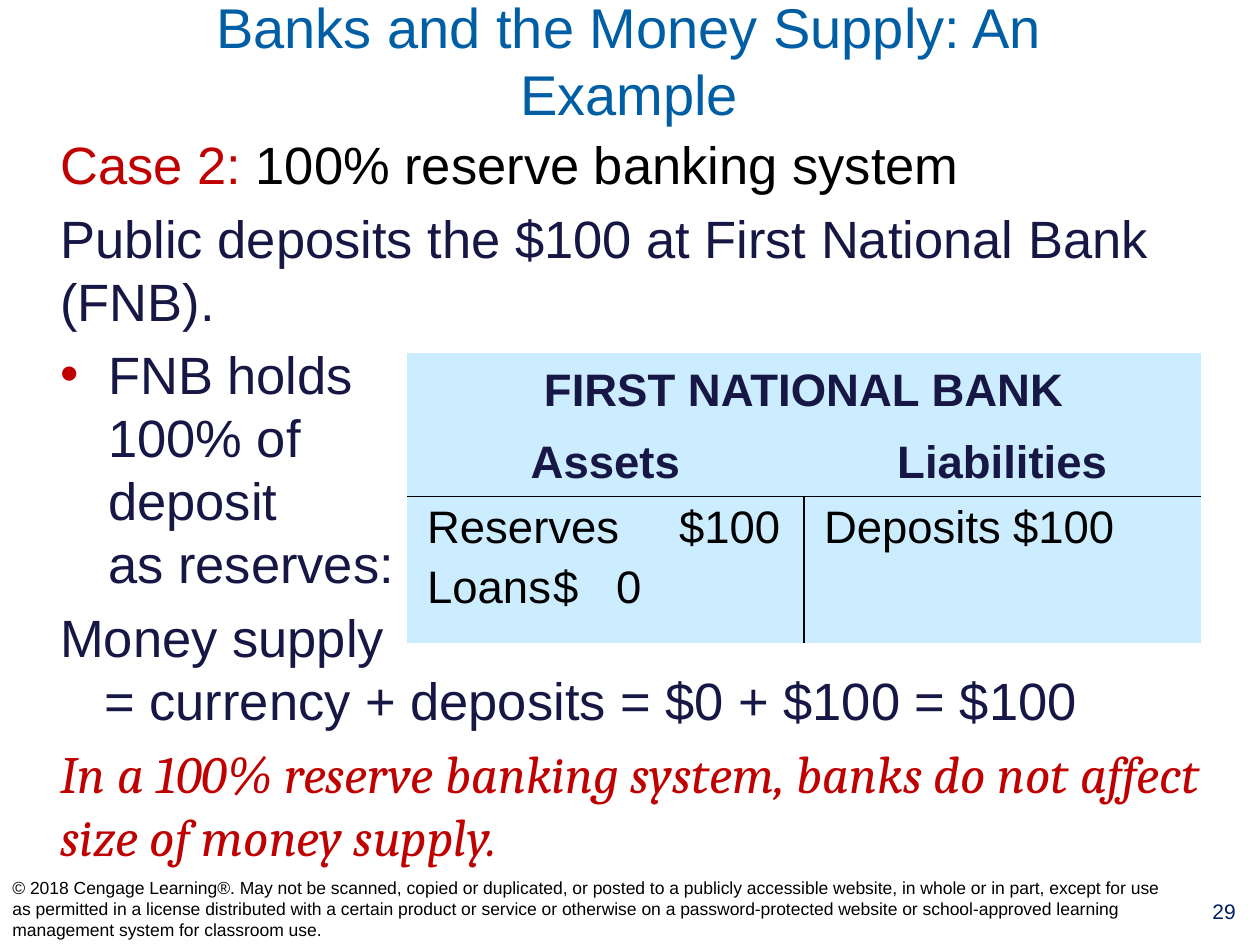
from lxml import etree
from pptx import Presentation
from pptx.dml.color import RGBColor
from pptx.enum.text import MSO_ANCHOR, PP_ALIGN
from pptx.oxml.ns import qn
from pptx.util import Inches, Pt

LEFT, CENTER = PP_ALIGN.LEFT, PP_ALIGN.CENTER
TOP, MIDDLE = MSO_ANCHOR.TOP, MSO_ANCHOR.MIDDLE
BLUE, RED, NAVY, BLACK, PALE = "005EA4", "C00000", "171745", "000000", "CCECFF"

# Content
TITLE = "Banks and the Money Supply: An Example"
PAGE = "29"
NOTICE = (
    "© 2018 Cengage Learning®. May not be scanned, copied or duplicated, or "
    "posted to a publicly accessible website, in whole or in part, except for "
    "use as permitted in a license distributed with a certain product or "
    "service or otherwise on a password-protected website or school-approved "
    "learning management system for classroom use."
)
# Each paragraph: runs of (text, colour), then options
BODY = [
    ([("Case 2:", RED), (" 100% reserve banking system", BLACK)], {}),
    ([("Public deposits the $100 at First National Bank (FNB).", NAVY)], {}),
    ([("FNB holds\n100% of\ndeposit\nas reserves:", NAVY)],
     {"hang": 0.38, "bullet": RED}),
    ([("Money supply\n= currency + deposits = $0 + $100 = $100", NAVY)],
     {"hang": 0.35}),
    ([("In a 100% reserve banking system, banks do not affect size of "
       "money supply.", RED)], {"font": "Cambria", "italic": True}),
]
BANK = "FIRST NATIONAL BANK"
HEADS = ["Assets", "Liabilities"]
ITEMS = [["Reserves\t$100", "Loans\t$\t0"], ["Deposits\t$100"]]
ROWS = [0.6, 0.54, 1.16]
COL = 3.15
STOPS = [(2.06, "l"), (2.86, "r")]


def rgb(code):
    return RGBColor.from_string(code)


def add_part(para, tag, **attrs):
    return etree.SubElement(para._p.get_or_add_pPr(), qn(tag), attrs)


def set_hang(para, left, first):
    props = para._p.get_or_add_pPr()
    props.set("marL", str(Inches(left)))
    props.set("indent", str(Inches(first)))


def write(para, runs, size, font="Arial", bold=False, italic=False,
          align=LEFT, hang=0, bullet=None):
    para.alignment = align
    if hang:
        set_hang(para, hang, -hang)
    if bullet:
        hue = add_part(para, "a:buClr")
        etree.SubElement(hue, qn("a:srgbClr"), val=bullet)
        add_part(para, "a:buFont", typeface="Arial")
        add_part(para, "a:buChar", char="•")
    for text, color in runs:
        for i, line in enumerate(text.split("\n")):
            if i:
                para.add_line_break()
            run = para.add_run()
            run.text = line
            run.font.size, run.font.name = Pt(size), font
            run.font.bold, run.font.italic = bold, italic
            run.font.color.rgb = rgb(color)


def add_box(slide, place, anchor=TOP):
    box = slide.shapes.add_textbox(*[Inches(n) for n in place])
    frame = box.text_frame
    frame.word_wrap = True
    frame.vertical_anchor = anchor
    return frame


def next_para(frame, i, gap):
    if i == 0:
        return frame.paragraphs[0]
    para = frame.add_paragraph()
    para.space_before = Pt(gap)
    return para


def style_cell(cell, sides, anchor):
    props = cell._tc.get_or_add_tcPr()
    for side in "LRTB":
        line = etree.SubElement(props, qn(f"a:ln{side}"), w=str(Pt(1)))
        if side in sides:
            fill = etree.SubElement(line, qn("a:solidFill"))
            etree.SubElement(fill, qn("a:srgbClr"), val=BLACK)
        else:
            etree.SubElement(line, qn("a:noFill"))
    cell.fill.solid()
    cell.fill.fore_color.rgb = rgb(PALE)
    cell.vertical_anchor = anchor


def add_sheet(slide):
    table = slide.shapes.add_table(
        3, 2, Inches(3.23), Inches(2.8), Inches(2 * COL), Inches(sum(ROWS))
    ).table
    table.first_row = table.horz_banding = False
    for row, high in zip(table.rows, ROWS):
        row.height = Inches(high)
    for col in table.columns:
        col.width = Inches(COL)

    # Rules of the T-account
    for c, inner in enumerate("RL"):
        for r, sides in enumerate(["", "B", "T" + inner]):
            style_cell(table.cell(r, c), sides, TOP if r == 2 else MIDDLE)

    # Headings
    table.cell(0, 0).merge(table.cell(0, 1))
    heads = [(0, 0, BANK)] + [(1, c, head) for c, head in enumerate(HEADS)]
    for r, c, text in heads:
        para = table.cell(r, c).text_frame.paragraphs[0]
        write(para, [(text, NAVY)], 26, bold=True, align=CENTER)

    # Entries, with amounts on tab stops
    for c, lines in enumerate(ITEMS):
        for i, text in enumerate(lines):
            para = next_para(table.cell(2, c).text_frame, i, 5)
            set_hang(para, 0.06, 0)
            tabs = add_part(para, "a:tabLst")
            for pos, kind in STOPS[:text.count("\t")]:
                etree.SubElement(tabs, qn("a:tab"), pos=str(Inches(pos)),
                                 algn=kind)
            write(para, [(text, BLACK)], 26)


def main():
    deck = Presentation()
    deck.slide_width, deck.slide_height = Inches(10), Inches(7.5)
    slide = deck.slides.add_slide(deck.slide_layouts[6])

    # Title
    frame = add_box(slide, (0.73, 0.11, 8.53, 0.72), MIDDLE)
    write(frame.paragraphs[0], [(TITLE, BLUE)], 32, align=CENTER)

    # Body
    frame = add_box(slide, (0.38, 1, 9.32, 6.05))
    for i, (runs, look) in enumerate(BODY):
        write(next_para(frame, i, 6), runs, 30, **look)

    # Page number and notice
    frame = add_box(slide, (9.43, 7.08, 0.57, 0.41))
    write(frame.paragraphs[0], [(PAGE, "002060")], 12, align=CENTER)
    frame = add_box(slide, (0, 6.92, 9.41, 0.58), MIDDLE)
    write(frame.paragraphs[0], [(NOTICE, BLACK)], 10)

    add_sheet(slide)
    deck.save("out.pptx")


if __name__ == "__main__":
    main()
